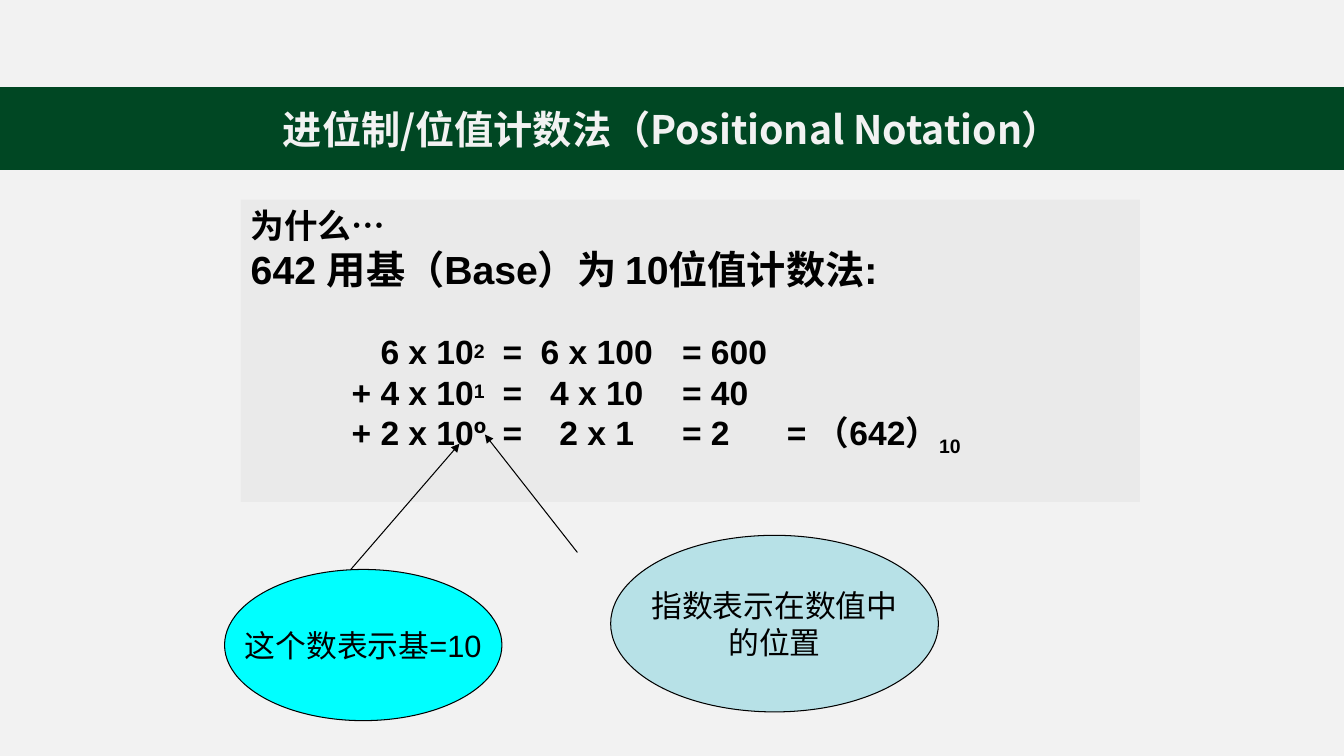
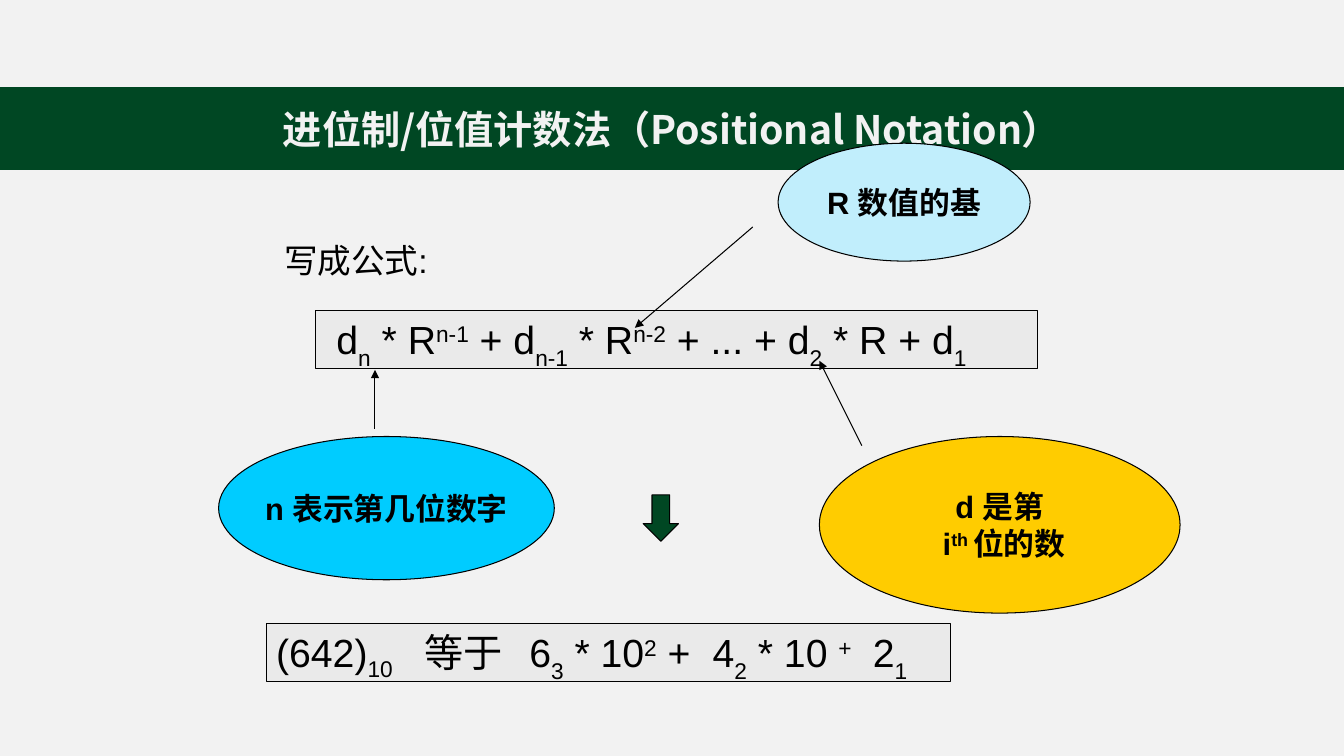
from lxml import etree
from pptx import Presentation
from pptx.dml.color import RGBColor
from pptx.enum.shapes import MSO_CONNECTOR as LINE, MSO_SHAPE as SHAPE
from pptx.enum.text import MSO_ANCHOR as ANCHOR, PP_ALIGN as ALIGN
from pptx.oxml.ns import qn
from pptx.util import Cm, Pt

COLOURS = {
    "page": "F2F2F2", "band": "004723", "panel": "EAEAEA", "ink": "000000",
    "cyan": "00FFFF", "teal": "B7E1E7", "pale": "C1EEFC",
    "sky": "00CCFF", "amber": "FFCC00",
}
LATIN, CJK = "Arial", "Noto Sans CJK SC"
TITLE = "进位制/位值计数法（Positional Notation）"


def colour(name):
    return RGBColor.from_string(COLOURS[name])


def write(para, *spans, size=24, bold=False, font=LATIN, ink="ink",
          align=ALIGN.LEFT, before=0, tabs=()):
    """Fill a paragraph; a span is a string or a (string, baseline %) pair.
    A tab is a (centimetres, alignment) pair."""
    para.alignment = align
    para.space_before = Pt(before)
    if tabs:
        stops = etree.SubElement(para._p.get_or_add_pPr(), qn("a:tabLst"))
        for place, side in tabs:
            etree.SubElement(stops, qn("a:tab"), pos=str(Cm(place)), algn=side)
    for item in spans:
        text, baseline = (item, 0) if isinstance(item, str) else item
        span = para.add_run()
        span.text = text
        span.font.size, span.font.bold, span.font.name = Pt(size), bold, font
        span.font.color.rgb = colour(ink)
        props = span._r.get_or_add_rPr()
        etree.SubElement(props, qn("a:ea"), typeface=CJK)
        if baseline:
            props.set("baseline", str(baseline * 1000))


class Deck:
    def __init__(self):
        self.deck = Presentation()
        self.deck.slide_width, self.deck.slide_height = Cm(33.87), Cm(19.05)
        fill = self.deck.slide_master.background.fill
        fill.solid()
        fill.fore_color.rgb = colour("page")

    def paint(self, shape, fill, line=None, width=0.75):
        shape.fill.solid()
        shape.fill.fore_color.rgb = colour(fill)
        if line:
            shape.line.color.rgb = colour(line)
            shape.line.width = Pt(width)
        else:
            shape.line.fill.background()

    def add_page(self, title):
        self.page = self.deck.slides.add_slide(self.deck.slide_layouts[5])
        band = self.page.shapes.title
        band.left, band.top = Cm(0), Cm(2.21)
        band.width, band.height = Cm(33.87), Cm(2.06)
        self.paint(band, "band", "band", 1)
        band.text_frame.vertical_anchor = ANCHOR.MIDDLE
        write(band.text_frame.paragraphs[0], title, size=28, bold=True,
              font=CJK, ink="page", align=ALIGN.CENTER)

    def shape(self, kind, place, fill, line="ink"):
        shape = self.page.shapes.add_shape(kind, *map(Cm, place))
        shape.shadow.inherit = False
        self.paint(shape, fill, line)
        return shape

    def panel(self, place, line="ink", inset=0.25):
        frame = self.shape(SHAPE.RECTANGLE, place, "panel", line).text_frame
        frame.word_wrap = True
        frame.vertical_anchor = ANCHOR.TOP
        frame.margin_left = Cm(inset)
        return frame

    def bubble(self, place, fill, *lines, bold=False):
        frame = self.shape(SHAPE.OVAL, place, fill).text_frame
        frame.word_wrap = False
        frame.vertical_anchor = ANCHOR.MIDDLE
        for number, spans in enumerate(lines):
            para = frame.add_paragraph() if number else frame.paragraphs[0]
            write(para, *spans, size=22, bold=bold, align=ALIGN.CENTER)

    def label(self, place, text):
        box = self.page.shapes.add_textbox(*map(Cm, place))
        box.text_frame.word_wrap = True
        write(box.text_frame.paragraphs[0], text)

    def arrow(self, *ends):
        arrow = self.page.shapes.add_connector(LINE.STRAIGHT, *map(Cm, ends))
        arrow.line.color.rgb = colour("ink")
        arrow.line.width = Pt(0.75)
        etree.SubElement(arrow.line._get_or_add_ln(), qn("a:tailEnd"),
                         type="triangle")
        etree.SubElement(arrow._element.spPr, qn("a:effectLst"))


def base_ten_page(show):
    show.add_page(TITLE)
    frame = show.panel((6.07, 5.03, 22.66, 7.62), line=None)
    write(frame.paragraphs[0], "为什么…", bold=True)
    write(frame.add_paragraph(), "642 用基（Base）为 10位值计数法:",
          size=28, bold=True)

    # Sum in columns: sign, power, equals, product, value, total
    columns = [(2.54, "l"), (3.27, "l"), (6.35, "l"), (8.72, "ctr"),
               (10.87, "l"), (13.51, "l")]
    rows = [
        ("\t\t6 x 10", ("2", 20), "\t=\t6 x 100\t= 600"),
        ("\t+\t4 x 10", ("1", 20), "\t=\t4 x 10\t= 40"),
        ("\t+\t2 x 10º\t=\t2 x 1\t= 2\t= （642）", ("10", -25)),
    ]
    for number, spans in enumerate(rows):
        write(frame.add_paragraph(), *spans, bold=True, tabs=columns,
              before=0 if number else 28)

    # Explanations
    show.arrow(8.84, 14.35, 11.58, 11.18)
    show.bubble((5.66, 14.35, 6.99, 3.81), "cyan", ["这个数表示基=10"])
    show.arrow(14.55, 13.92, 12.22, 10.95)
    show.bubble((15.39, 13.49, 8.26, 4.45), "teal",
                ["指数表示在数值中"], ["的位置"])


def formula_page(show):
    show.add_page(TITLE)

    # General formula and its example
    formula = show.panel((7.95, 7.82, 18.21, 1.47), inset=0.53)
    write(formula.paragraphs[0], "d", ("n", -30), " * R", ("n-1", 30),
          " + d", ("n-1", -30), " * R", ("n-2", 30), " + ... + d",
          ("2", -30), " * R + d", ("1", -30), size=28)
    show.label((6.91, 5.92, 21.39, 1.27), "写成公式:")
    example = show.panel((6.71, 15.72, 17.25, 1.45))
    write(example.paragraphs[0], "(642)", ("10", -25), "\t等于\t6",
          ("3", -30), " * 10", ("2", 30), " +\t4", ("2", -30), " * 10 ",
          ("+", 30), "\t2", ("1", -30), size=28,
          tabs=[(place, "l") for place in (3.73, 6.38, 11, 15.04)])

    # Explanations
    show.bubble((19.61, 3.61, 6.35, 2.97), "pale", ["R 数值的基"], bold=True)
    show.bubble((5.51, 11, 8.46, 3.61), "sky", ["n 表示第几位数字"], bold=True)
    show.bubble((20.65, 11, 9.09, 4.45), "amber", ["d 是第"],
                [" i", ("th ", 30), "位的数"], bold=True)
    show.arrow(9.45, 10.8, 9.45, 9.32)
    show.arrow(21.72, 11.23, 20.65, 9.09)
    show.arrow(18.97, 5.72, 16, 8.26)
    show.shape(SHAPE.DOWN_ARROW, (16.21, 12.47, 0.89, 1.17), "band")


def main():
    show = Deck()
    base_ten_page(show)
    formula_page(show)
    show.deck.save("out.pptx")


if __name__ == "__main__":
    main()
